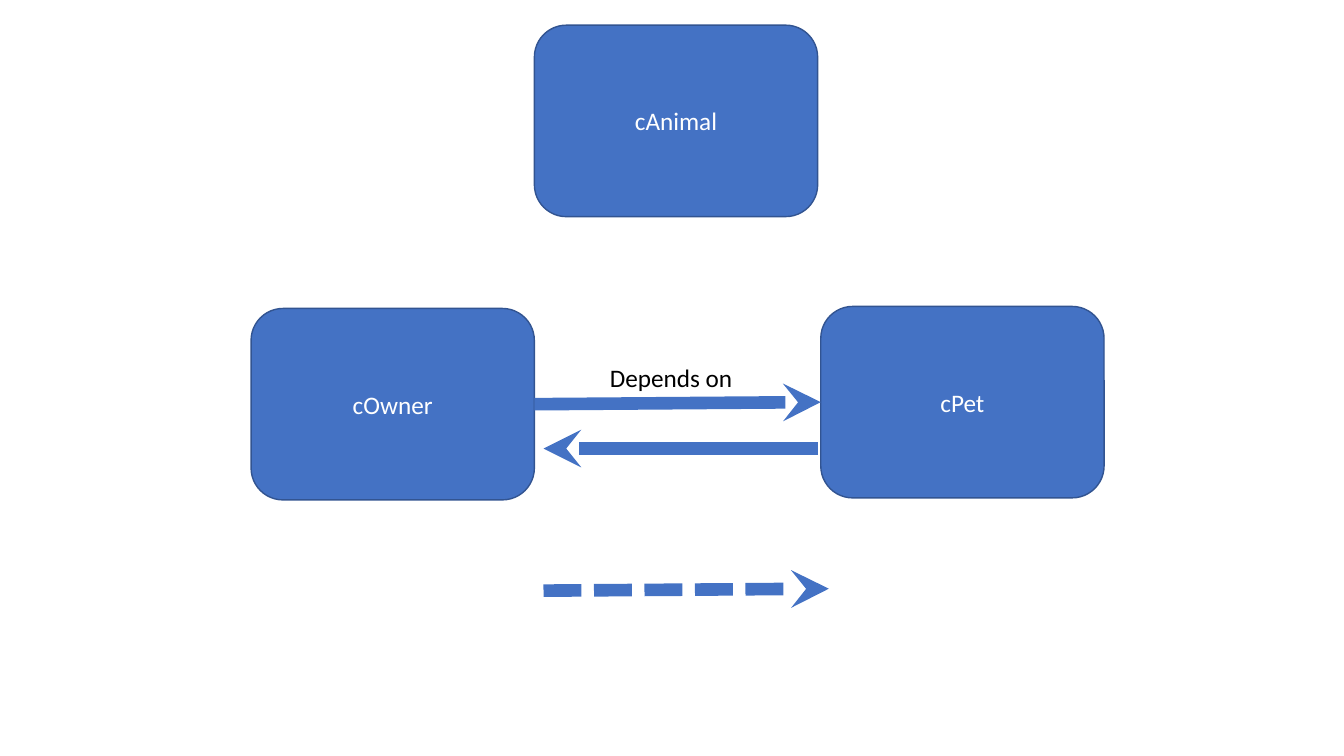
from lxml.etree import SubElement
from pptx import Presentation
from pptx.dml.color import RGBColor
from pptx.enum.shapes import MSO_CONNECTOR as Link, MSO_SHAPE as Preset
from pptx.enum.text import MSO_ANCHOR as Anchor, MSO_AUTO_SIZE as Fit, PP_ALIGN as Align
from pptx.oxml.ns import qn
from pptx.util import Inches, Pt

WIDTH, HEIGHT = Inches(13.33), Inches(7.5)
BLUE, EDGE, WHITE, BLACK = "4472C4", "325491", "FFFFFF", "000000"
CLASS_SIZE = (21.08, 25.33)
RIGHT_SITE, LEFT_SITE = 3, 1
FONT = {"name": "Calibri", "size": Pt(18)}
CLASS_FRAME = {"word_wrap": True, "vertical_anchor": Anchor.MIDDLE}
LABEL_FRAME = {"word_wrap": False, "auto_size": Fit.SHAPE_TO_FIT_TEXT}


def share(across, down):
    return round(WIDTH * across / 100), round(HEIGHT * down / 100)


def color(hex_code):
    return RGBColor.from_string(hex_code)


def apply(target, values):
    for name, value in values.items():
        setattr(target, name, value)


def write(frame, wording, hex_code, frame_format, align):
    apply(frame, frame_format)
    paragraph = frame.paragraphs[0]
    paragraph.alignment = align
    run = paragraph.add_run()
    run.text = wording
    apply(run.font, FONT)
    run.font.color.rgb = color(hex_code)


def outline(line, hex_code, width):
    line.color.rgb = color(hex_code)
    line.width = Pt(width)


def add_class(slide, name, corner):
    box = slide.shapes.add_shape(
        Preset.ROUNDED_RECTANGLE, *share(*corner), *share(*CLASS_SIZE))
    box.shadow.inherit = False
    box.fill.solid()
    box.fill.fore_color.rgb = color(BLUE)
    outline(box.line, EDGE, 1)
    write(box.text_frame, name, WHITE, CLASS_FRAME, Align.CENTER)
    return box


def add_arrow(slide, start, end, dash="solid"):
    arrow = slide.shapes.add_connector(Link.STRAIGHT, *share(*start), *share(*end))
    outline(arrow.line, BLUE, 9)
    properties = arrow.element.spPr
    stroke = properties.find(qn("a:ln"))
    SubElement(stroke, qn("a:prstDash"), val=dash)
    SubElement(stroke, qn("a:tailEnd"), type="stealth")
    SubElement(properties, qn("a:effectLst"))
    return arrow


def add_label(slide, wording, corner, size):
    label = slide.shapes.add_textbox(*share(*corner), *share(*size))
    write(label.text_frame, wording, BLACK, LABEL_FRAME, Align.LEFT)


def main():
    deck = Presentation()
    apply(deck, {"slide_width": WIDTH, "slide_height": HEIGHT})
    slide = deck.slides.add_slide(deck.slide_layouts.get_by_name("Blank"))

    owner = add_class(slide, "cOwner", (18.68, 40.8))
    pet = add_class(slide, "cPet", (61.07, 40.53))
    dependency = add_arrow(slide, (39.76, 53.6), (61.07, 53.33))
    dependency.begin_connect(owner, RIGHT_SITE)
    dependency.end_connect(pet, LEFT_SITE)
    add_arrow(slide, (40.44, 78.13), (61.67, 77.87), "sysDash")
    add_class(slide, "cAnimal", (39.76, 3.33))
    add_label(slide, "Depends on", (44.64, 47.33), (10.73, 5.33))
    add_arrow(slide, (60.84, 59.33), (40.44, 59.33))

    deck.save("out.pptx")


main()
